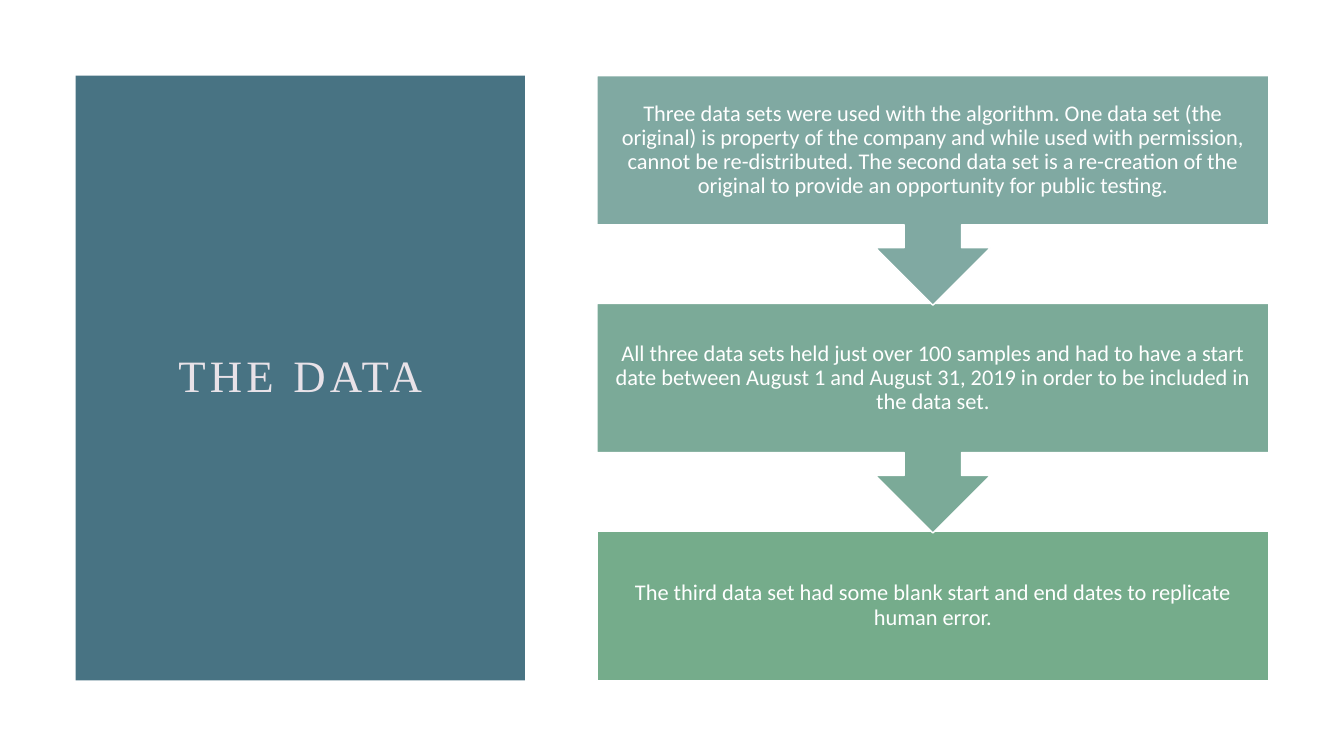
from pptx import Presentation
from pptx.dml.color import RGBColor
from pptx.enum.shapes import MSO_SHAPE
from pptx.enum.text import MSO_ANCHOR, PP_ALIGN
from pptx.util import Pt


def rgb(color):
    """Return the colour for a hex string."""
    return RGBColor.from_string(color)


def write(sp, text, font, size, color, inset):
    """Set centred, wrapped text in a shape and return its run."""
    tf = sp.text_frame
    tf.text = text
    tf.word_wrap = True
    tf.vertical_anchor = MSO_ANCHOR.MIDDLE
    tf.margin_left = tf.margin_right = Pt(inset)
    tf.margin_top = tf.margin_bottom = Pt(inset)
    p = tf.paragraphs[0]
    p.alignment = PP_ALIGN.CENTER
    p.line_spacing = 0.9
    r = p.runs[0]
    r.font.name = font
    r.font.size = Pt(size)
    r.font.color.rgb = rgb(color)
    return r


prs = Presentation()
prs.slide_width, prs.slide_height = Pt(960), Pt(540)
s = prs.slides.add_slide(prs.slide_layouts[6])

# Title panel
panel = s.shapes.add_shape(MSO_SHAPE.RECTANGLE, Pt(54), Pt(54), Pt(321), Pt(432))
panel.shadow.inherit = False
panel.fill.solid()
panel.fill.fore_color.rgb = rgb("487383")
panel.line.fill.background()

title = s.shapes.add_textbox(Pt(108), Pt(108), Pt(213), Pt(324))
r = write(title, "THE DATA", "Times New Roman", 32, "E8E2E8", 4)
r.font._element.set("spc", "300")

# Data set steps, each pointing to the next
LEFT, TOP, WIDTH, PITCH = 426.4, 54, 480, 162.7
BOX, CALLOUT = MSO_SHAPE.RECTANGLE, MSO_SHAPE.DOWN_ARROW_CALLOUT
steps = [
    (CALLOUT, 164, "80A9A2",
     "Three data sets were used with the algorithm. One data set (the original) "
     "is property of the company and while used with permission, cannot be "
     "re-distributed. The second data set is a re-creation of the original to "
     "provide an opportunity for public testing."),
    (CALLOUT, 164, "7BAA98",
     "All three data sets held just over 100 samples and had to have a start date "
     "between August 1 and August 31, 2019 in order to be included in the data set."),
    (BOX, 106.6, "75AC8B",
     "The third data set had some blank start and end dates to replicate human error."),
]
# The last step goes to the back, so that each arrow tip overlaps the next box
for i, (kind, height, color, text) in reversed(list(enumerate(steps))):
    sp = s.shapes.add_shape(kind, Pt(LEFT), Pt(TOP + i * PITCH), Pt(WIDTH), Pt(height))
    sp.shadow.inherit = False
    sp.fill.solid()
    sp.fill.fore_color.rgb = rgb(color)
    sp.line.color.rgb = rgb("FFFFFF")
    sp.line.width = Pt(1)
    write(sp, text, "Calibri", 16, "FFFFFF", 9)

prs.save("out.pptx")
